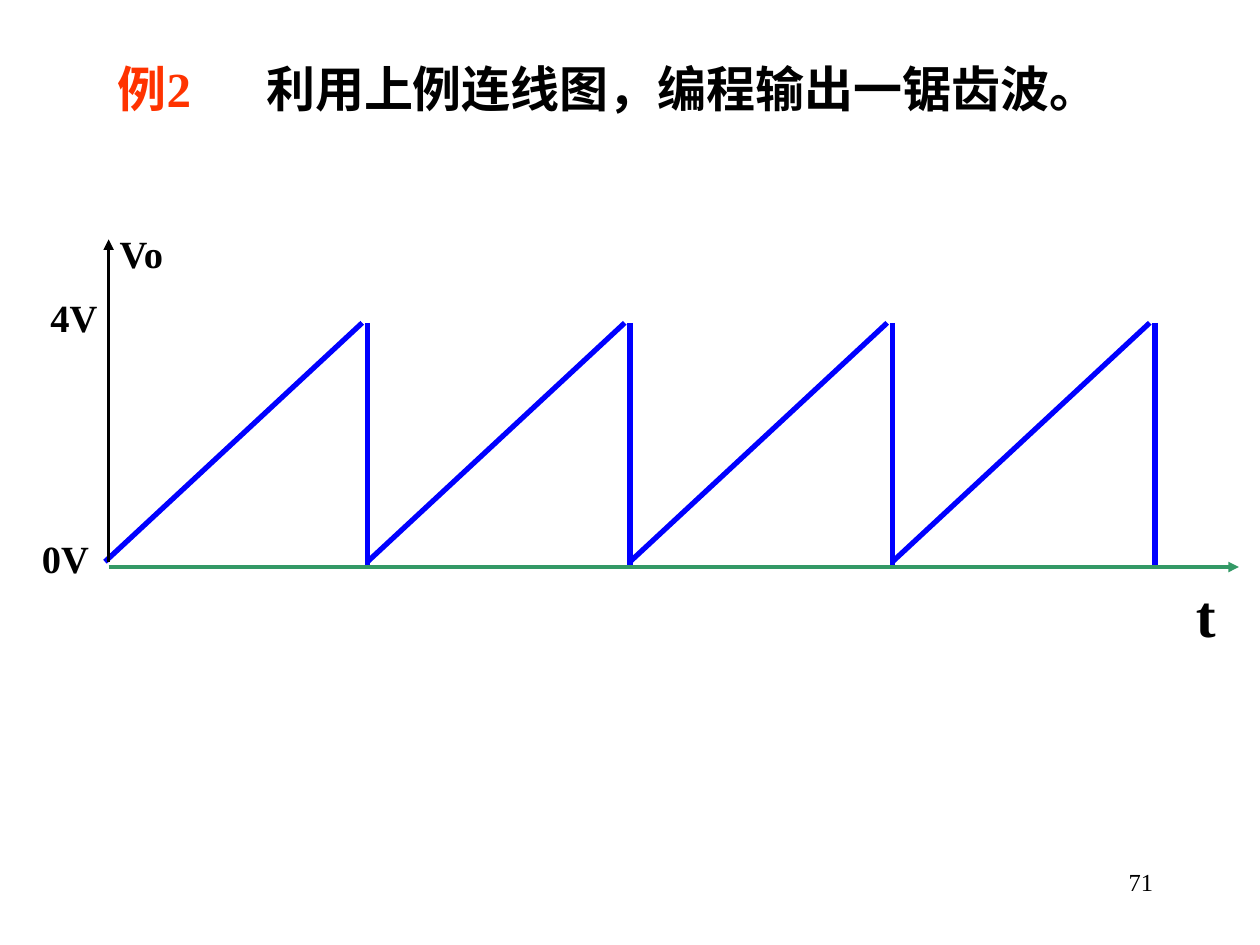
from lxml.etree import SubElement
from pptx import Presentation
from pptx.dml.color import RGBColor
from pptx.enum.shapes import MSO_CONNECTOR
from pptx.enum.text import MSO_ANCHOR, MSO_AUTO_SIZE, PP_ALIGN
from pptx.oxml.ns import qn
from pptx.util import Inches, Pt

UNIT = 10 / 24  # the slide is a grid of 24 columns by 18 rows


def grid(*cells):
    return [Inches(cell * UNIT) for cell in cells]


def tint(code):
    return RGBColor.from_string(code)


class Page:
    face = "Times New Roman"
    ink, red, blue, green = "000000", "FF3300", "0000FF", "339966"

    def __init__(self, deck):
        self.slide = deck.slides.add_slide(deck.slide_layouts[5])

    def style(self, par, size, bold=True, align=PP_ALIGN.LEFT):
        par.alignment = align
        font = par.font
        font.name, font.size, font.bold = self.face, Pt(size), bold
        font.color.rgb = tint(self.ink)

    def title(self, label, words, box, stop):
        shape = self.slide.shapes.title
        shape.left, shape.top, shape.width, shape.height = grid(*box)
        frame = shape.text_frame
        frame.word_wrap = True
        frame.auto_size = MSO_AUTO_SIZE.NONE
        frame.vertical_anchor = MSO_ANCHOR.TOP
        par = frame.paragraphs[0]
        # A tab stop sets the gap after the label
        tabs = SubElement(par._p.get_or_add_pPr(), qn("a:tabLst"))
        SubElement(tabs, qn("a:tab"), pos=str(grid(stop)[0]), algn="l")
        self.style(par, 28)
        for text, color in ((label + "\t", self.red), (words, self.ink)):
            run = par.add_run()
            run.text = text
            run.font.color.rgb = tint(color)

    def text(self, words, box, size, inset=(0, 0), **look):
        frame = self.slide.shapes.add_textbox(*grid(*box)).text_frame
        frame.word_wrap = True
        frame.margin_left = frame.margin_right = Inches(inset[0])
        frame.margin_top = frame.margin_bottom = Inches(inset[1])
        par = frame.paragraphs[0]
        par.text = words
        self.style(par, size, **look)

    def line(self, start, end, color, width, arrow=False):
        shape = self.slide.shapes.add_connector(
            MSO_CONNECTOR.STRAIGHT, *grid(*start, *end))
        shape.line.color.rgb = tint(color)
        shape.line.width = Pt(width)
        if arrow:
            SubElement(shape.line._get_or_add_ln(), qn("a:tailEnd"), type="triangle")
        SubElement(shape._element.spPr, qn("a:effectLst"))


def main():
    deck = Presentation()
    deck.slide_width, deck.slide_height = grid(24, 18)
    page = Page(deck)
    page.title("例2", "利用上例连线图，编程输出一锯齿波。", (2, 1, 18.8, 1.37), 2.83)

    # Sawtooth: four equal periods, each a ramp and a drop
    high, low, base, period = 6.15, 10.7, 10.8, 5
    for count in range(4):
        left = 2 + count * period
        right = left + period
        page.line((left, low), (right - 0.1, high), page.blue, 3)
        page.line((right, high), (right, base), page.blue, 3)

    # Axes
    zero = 2.07
    page.line((zero, base), (23.6, base), page.green, 2, arrow=True)
    page.line((zero, low), (zero, 4.56), page.ink, 2, arrow=True)

    # Axis labels
    page.text("t", (22.78, 11.02, 0.55, 1.27), 34)
    page.text("Vo", (2.28, 4.39, 1, 1.27), 22)
    page.text("4V", (0.96, 5.6, 1.22, 1.1), 22)
    page.text("0V", (0.8, 10.2, 1.2, 1), 22)

    # Page number
    page.text("71", (17.2, 16.4, 5, 1.2), 14, (0.1, 0.05),
              bold=False, align=PP_ALIGN.RIGHT)
    deck.save("out.pptx")


if __name__ == "__main__":
    main()
